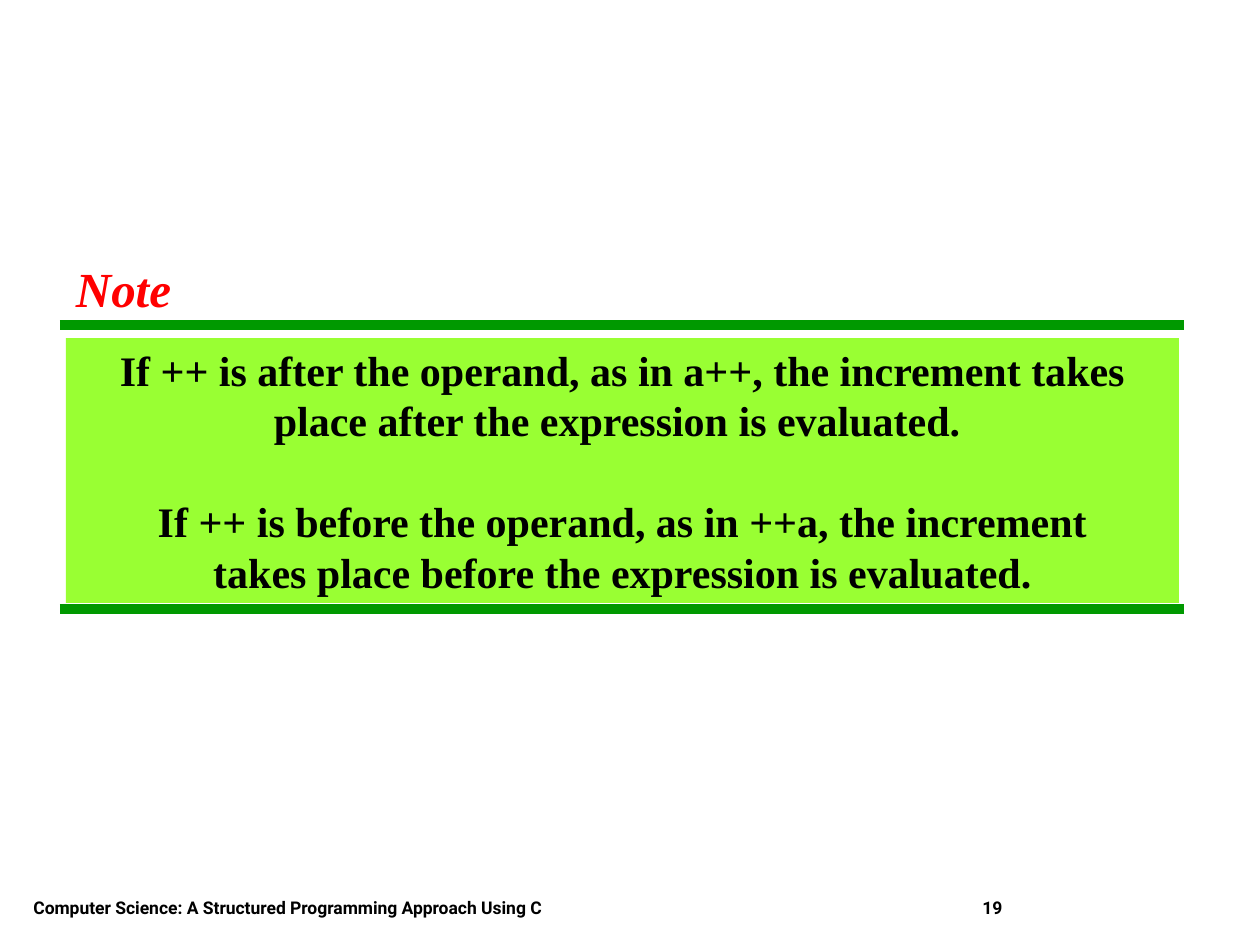
"""Build the note slide on postfix and prefix increment."""
from lxml import etree
from pptx import Presentation
from pptx.dml.color import RGBColor
from pptx.enum.shapes import MSO_CONNECTOR
from pptx.enum.text import MSO_ANCHOR, MSO_AUTO_SIZE, PP_ALIGN
from pptx.oxml.ns import qn
from pptx.util import Pt

STRAIGHT = MSO_CONNECTOR.STRAIGHT
TOP, BOTTOM = MSO_ANCHOR.TOP, MSO_ANCHOR.BOTTOM
NO_FIT = MSO_AUTO_SIZE.NONE
CENTER = PP_ALIGN.CENTER
SCALE = 914400 / 126


def px(*lengths):
    return [round(length * SCALE) for length in lengths]


def style(paragraph, face, size, color, italic=False):
    font = paragraph.font
    font.name, font.size = face, Pt(size)
    font.bold, font.italic = True, italic
    font.color.rgb = RGBColor.from_string(color)


prs = Presentation()
prs.slide_width, prs.slide_height = px(1260, 945)
slide = prs.slides.add_slide(prs.slide_layouts[1])

footers = [
    (21, 714, "Computer Science: A Structured Programming Approach Using C"),
    (970, 262, "19"),
]
for left, width, text in footers:
    footer = slide.shapes.add_textbox(*px(left, 861, width, 63)).text_frame
    footer.word_wrap = True
    footer.vertical_anchor = BOTTOM
    footer.text = text
    style(footer.paragraphs[0], "Roboto", 10, "000000")

for y in (325, 609):
    rule = slide.shapes.add_connector(STRAIGHT, *px(60, y, 1184, y))
    rule.line.color.rgb = RGBColor.from_string("009900")
    rule.line.width = Pt(6)
    etree.SubElement(rule._element.spPr, qn("a:effectLst"))

heading = slide.shapes.title
heading.left, heading.top, heading.width, heading.height = px(63, 252, 121, 72)
heading.text_frame.text = "Note"
heading.text_frame.word_wrap = False
heading.text_frame.auto_size = NO_FIT
heading.text_frame.vertical_anchor = TOP
heading.text_frame.paragraphs[0].alignment = CENTER
style(heading.text_frame.paragraphs[0], "Times New Roman", 28, "FF0000", True)

note = slide.placeholders[1]
note.left, note.top, note.width, note.height = px(66, 338, 1113, 265)
note.fill.solid()
note.fill.fore_color.rgb = RGBColor.from_string("99FF33")
note.text_frame.auto_size = NO_FIT
note.text_frame.vertical_anchor = TOP
note.text_frame.text = "\n".join([
    "If ++ is after the operand, as in a++, the increment takes "
    "place after the expression is evaluated. ",
    "If ++ is before the operand, as in ++a, the increment",
    "takes place before the expression is evaluated.",
])
for sentence, gap in zip(note.text_frame.paragraphs, (0, 29, 0)):
    properties = sentence._p.get_or_add_pPr()
    properties.set("marL", "0")
    properties.set("indent", "0")
    etree.SubElement(properties, qn("a:buNone"))
    sentence.alignment = CENTER
    sentence.space_before = Pt(gap)
    style(sentence, "Times New Roman", 24, "000000")

prs.save("out.pptx")
